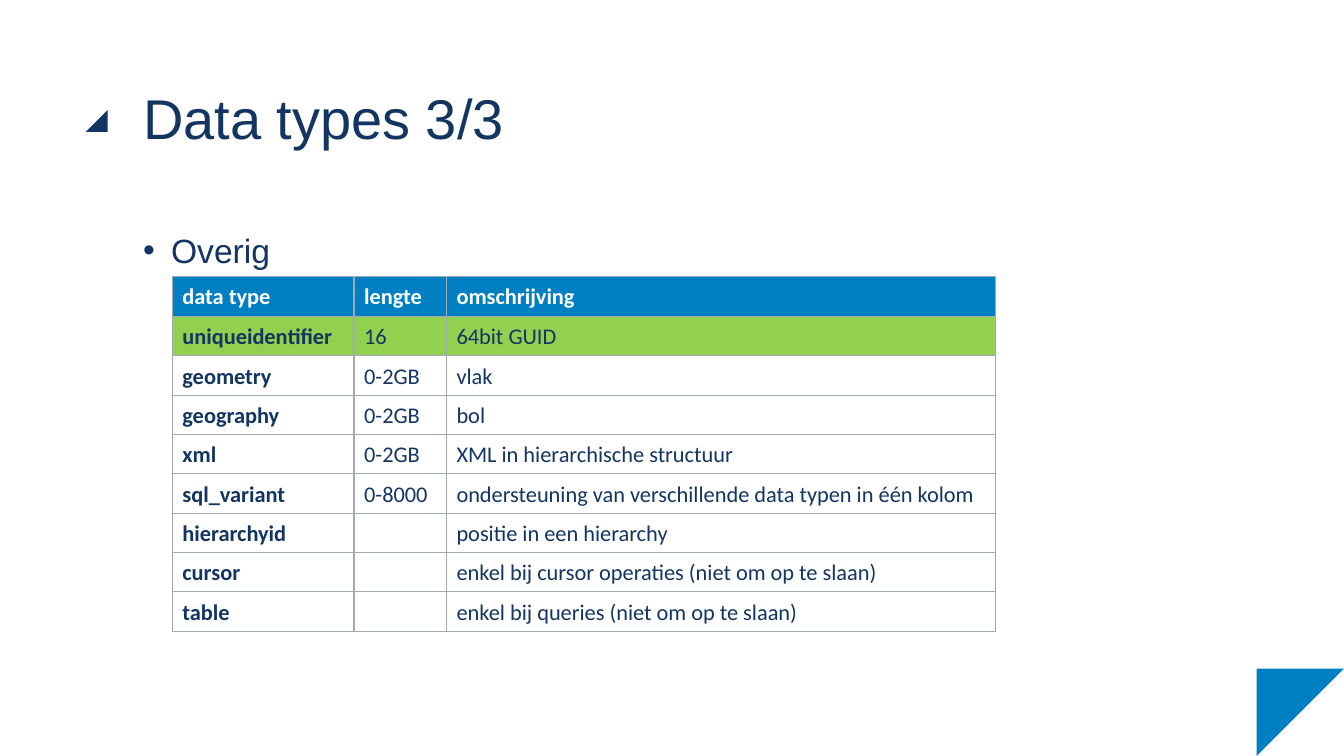
from lxml import etree
from pptx import Presentation, util as u
from pptx.dml.color import RGBColor
from pptx.enum import shapes, text
from pptx.oxml.ns import qn

COLORS = {"navy": "133561", "blue": "007FC3", "green": "92D050",
          "white": "FFFFFF", "border": "A2A9B1"}
ROWS = [
    ("data type", "lengte", "omschrijving"),
    ("uniqueidentifier", "16", "64bit GUID"),
    ("geometry", "0-2GB", "vlak"),
    ("geography", "0-2GB", "bol"),
    ("xml", "0-2GB", "XML in hierarchische structuur"),
    ("sql_variant", "0-8000", "ondersteuning van verschillende data typen in één kolom"),
    ("hierarchyid", "", "positie in een hierarchy"),
    ("cursor", "", "enkel bij cursor operaties (niet om op te slaan)"),
    ("table", "", "enkel bij queries (niet om op te slaan)"),
]


def rgb(name):
    return RGBColor.from_string(COLORS[name])


def write(tf, content, size=16, font="Calibri", color="navy", bold=False,
          spacing=1.0, after=0, bullet=None, indent=0):
    p = tf.paragraphs[0]
    p.line_spacing = spacing
    p.space_after = u.Pt(after)
    if bullet:
        pPr = p._p.get_or_add_pPr()
        pPr.set("marL", str(u.Pt(indent)))
        pPr.set("indent", str(-u.Pt(indent)))
        etree.SubElement(pPr, qn("a:buFont")).set("typeface", font)
        etree.SubElement(pPr, qn("a:buChar")).set("char", bullet)
    if not content:
        p._p.get_or_add_endParaRPr().set("sz", str(size * 100))
        return
    r = p.add_run()
    r.text = content
    r.font.size = u.Pt(size)
    r.font.name = font
    r.font.bold = bold
    r.font.color.rgb = rgb(color)


class Deck:
    """Hold the presentation style and the current slide."""

    def __init__(self, width, height):
        self.prs = Presentation()
        self.prs.slide_width, self.prs.slide_height = u.Pt(width), u.Pt(height)
        self.s = self.prs.slides.add_slide(self.prs.slide_layouts[6])

    def triangle(self, x, y, size, color, rotation=0, flip=False):
        sp = self.s.shapes.add_shape(shapes.MSO_SHAPE.RIGHT_TRIANGLE,
                                     u.Pt(x), u.Pt(y), u.Pt(size), u.Pt(size))
        sp.shadow.inherit = False
        sp.fill.solid()
        sp.fill.fore_color.rgb = rgb(color)
        sp.line.fill.background()
        sp.rotation = rotation
        if flip:
            sp._element.spPr.xfrm.set("flipH", "1")

    def textbox(self, x, y, w, h, content, **fmt):
        tf = self.s.shapes.add_textbox(u.Pt(x), u.Pt(y), u.Pt(w), u.Pt(h)).text_frame
        tf.word_wrap = True
        tf.margin_left = tf.margin_right = tf.margin_top = tf.margin_bottom = 0
        write(tf, content, font="Arial", **fmt)

    def border(self, cell):
        tcPr = cell._tc.get_or_add_tcPr()
        for side in ("lnL", "lnR", "lnT", "lnB"):
            ln = etree.SubElement(tcPr, qn("a:" + side), w=str(u.Pt(1)))
            fill = etree.SubElement(ln, qn("a:solidFill"))
            etree.SubElement(fill, qn("a:srgbClr"), val=COLORS["border"])

    def table(self, x, y, widths, heights, rows, fills):
        tbl = self.s.shapes.add_table(len(rows), len(widths), u.Pt(x), u.Pt(y),
                                      u.Pt(sum(widths)), u.Pt(sum(heights))).table
        tbl.horz_banding = False
        for col, width in zip(tbl.columns, widths):
            col.width = u.Pt(width)
        for i, row in enumerate(rows):
            tbl.rows[i].height = u.Pt(heights[i])
            for j, content in enumerate(row):
                cell = tbl.cell(i, j)
                self.border(cell)
                cell.fill.solid()
                cell.fill.fore_color.rgb = rgb(fills.get(i, "white"))
                cell.vertical_anchor = text.MSO_ANCHOR.MIDDLE
                write(cell.text_frame, content, bold=i == 0 or j == 0,
                      color="navy" if i else "white", spacing=1.07, after=8)


def main():
    deck = Deck(960, 540)
    deck.triangle(61.2, 78.5, 15.8, "navy", flip=True)
    deck.triangle(897.6, 477.6, 62.4, "blue", rotation=90)
    deck.textbox(102.2, 158.4, 777, 326, "Overig", size=24, spacing=1.2,
                 bullet="•", indent=20)
    deck.textbox(102.2, 57, 777, 102, "Data types 3/3", size=40, spacing=1.05)
    deck.table(123.1, 197.3, [129.8, 66, 392], [28.8] + [28.1] * (len(ROWS) - 1),
               ROWS, {0: "blue", 1: "green"})
    deck.prs.save("out.pptx")


if __name__ == "__main__":
    main()
